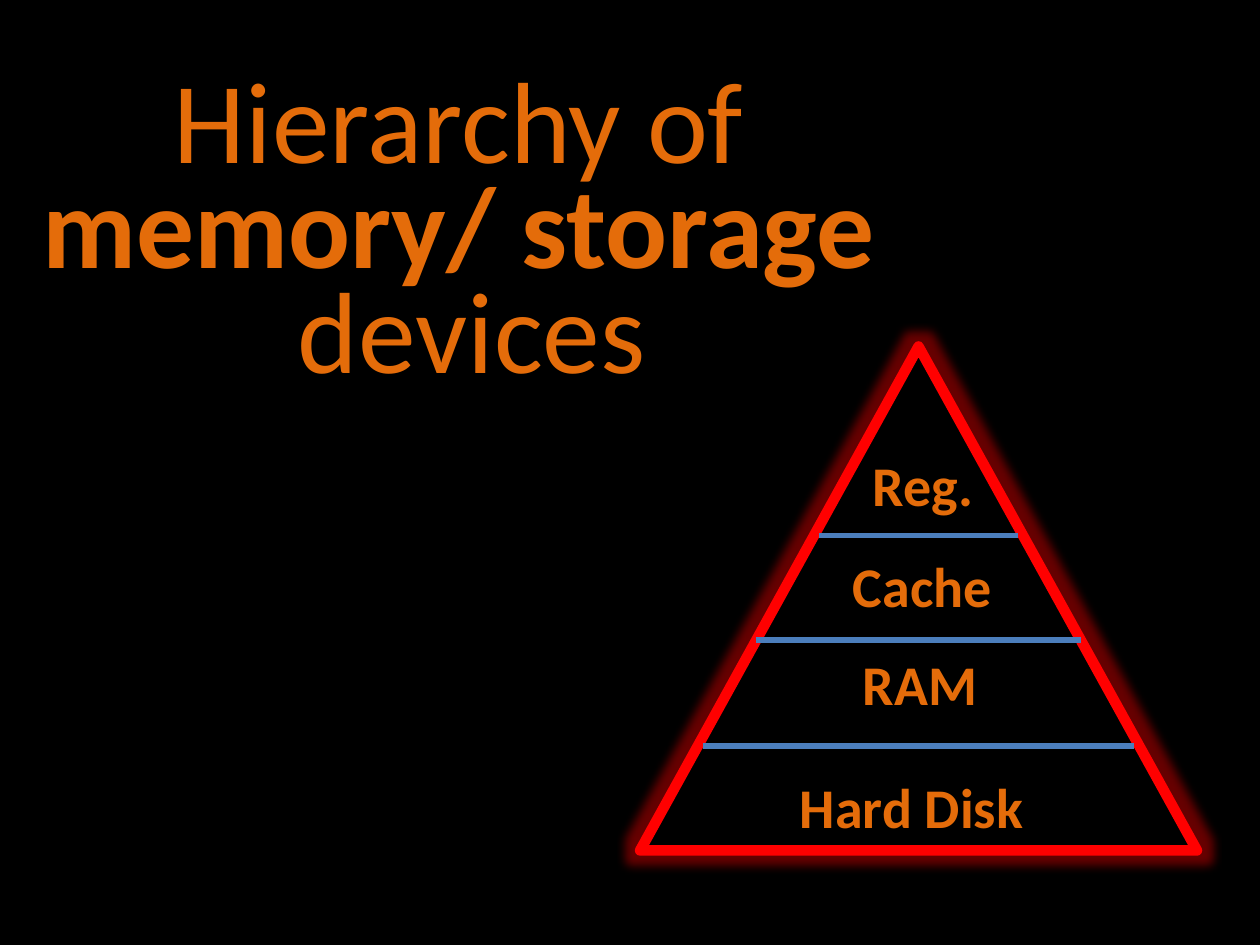
from lxml import etree
from pptx import Presentation, util as u
from pptx.dml.color import RGBColor
from pptx.enum import shapes, text
from pptx.oxml.ns import qn

COLOURS = {"night": "000000", "orange": "E46C0A", "red": "FF0000", "blue": "4B7EBC"}

# Content: title lines as (text, bold)
TITLE = [("Hierarchy of ", False), ("memory/ storage ", True), ("devices", False)]
TITLE_BOX = (-0.67, 1.09, 8.83, 1.61)
PYRAMID = (5.08, 2.75, 4.42, 4)
# Dividers as (height on slide, half width)
DIVIDERS = [(5.92, 1.71), (5.08, 1.29), (4.25, 0.79)]
LEVELS = [
    ("Hard Disk", 6.25, 6.08, 2),
    ("RAM", 6.75, 5.11, 1.33),
    ("Cache", 6.67, 4.33, 1.5),
    ("Reg.", 6.83, 3.53, 1.08),
]
LABEL_HEIGHT = 0.64


def colour(name):
    return RGBColor.from_string(COLOURS[name])


def inches(values):
    return [u.Inches(value) for value in values]


def apply(target, values):
    for key, value in values.items():
        setattr(target, key, value)


def style_font(font, size, bold):
    apply(font, {"name": "Calibri", "size": u.Pt(size), "bold": bold})
    font.color.rgb = colour("orange")


def style_line(line, name, width):
    line.color.rgb = colour(name)
    line.width = u.Pt(width)


prs = Presentation()
prs.slide_width, prs.slide_height = inches((10, 7.5))
slide = prs.slides.add_slide(prs.slide_layouts[5])
slide.background.fill.solid()
slide.background.fill.fore_color.rgb = colour("night")

# Title
title = slide.shapes.title
apply(title, dict(zip(("left", "top", "width", "height"), inches(TITLE_BOX))))
apply(title.text_frame, {"word_wrap": True, "vertical_anchor": text.MSO_ANCHOR.MIDDLE,
                         "auto_size": text.MSO_AUTO_SIZE.NONE})
heading = title.text_frame.paragraphs[0]
apply(heading, {"alignment": text.PP_ALIGN.CENTER, "line_spacing": u.Pt(60)})
for index, (words, bold) in enumerate(TITLE):
    if index:
        heading.add_line_break()
    run = heading.add_run()
    run.text = words
    style_font(run.font, 66, bold)

# Pyramid with rounded corners and a red glow
pyramid = slide.shapes.add_shape(shapes.MSO_SHAPE.ISOSCELES_TRIANGLE, *inches(PYRAMID))
pyramid.shadow.inherit = False
pyramid.fill.solid()
pyramid.fill.fore_color.rgb = colour("night")
style_line(pyramid.line, "red", 6)
properties = pyramid.element.spPr
etree.SubElement(properties.find(qn("a:ln")), qn("a:round"))
glow = etree.SubElement(properties.find(qn("a:effectLst")), qn("a:glow"), rad="139700")
glow_colour = etree.SubElement(glow, qn("a:srgbClr"), val=COLOURS["red"])
etree.SubElement(glow_colour, qn("a:alpha"), val="40000")

# Dividers, centred on the pyramid
centre = PYRAMID[0] + PYRAMID[2] / 2
for y, half in DIVIDERS:
    divider = slide.shapes.add_connector(
        shapes.MSO_CONNECTOR.STRAIGHT, *inches((centre - half, y, centre + half, y)))
    style_line(divider.line, "blue", 3)
    etree.SubElement(divider.element.spPr, qn("a:effectLst"))

# Level labels
for words, left, top, width in LEVELS:
    label = slide.shapes.add_textbox(*inches((left, top, width, LABEL_HEIGHT)))
    apply(label.text_frame, {"word_wrap": True, "text": words,
                             "auto_size": text.MSO_AUTO_SIZE.SHAPE_TO_FIT_TEXT})
    style_font(label.text_frame.paragraphs[0].runs[0].font, 32, True)

prs.save("out.pptx")
